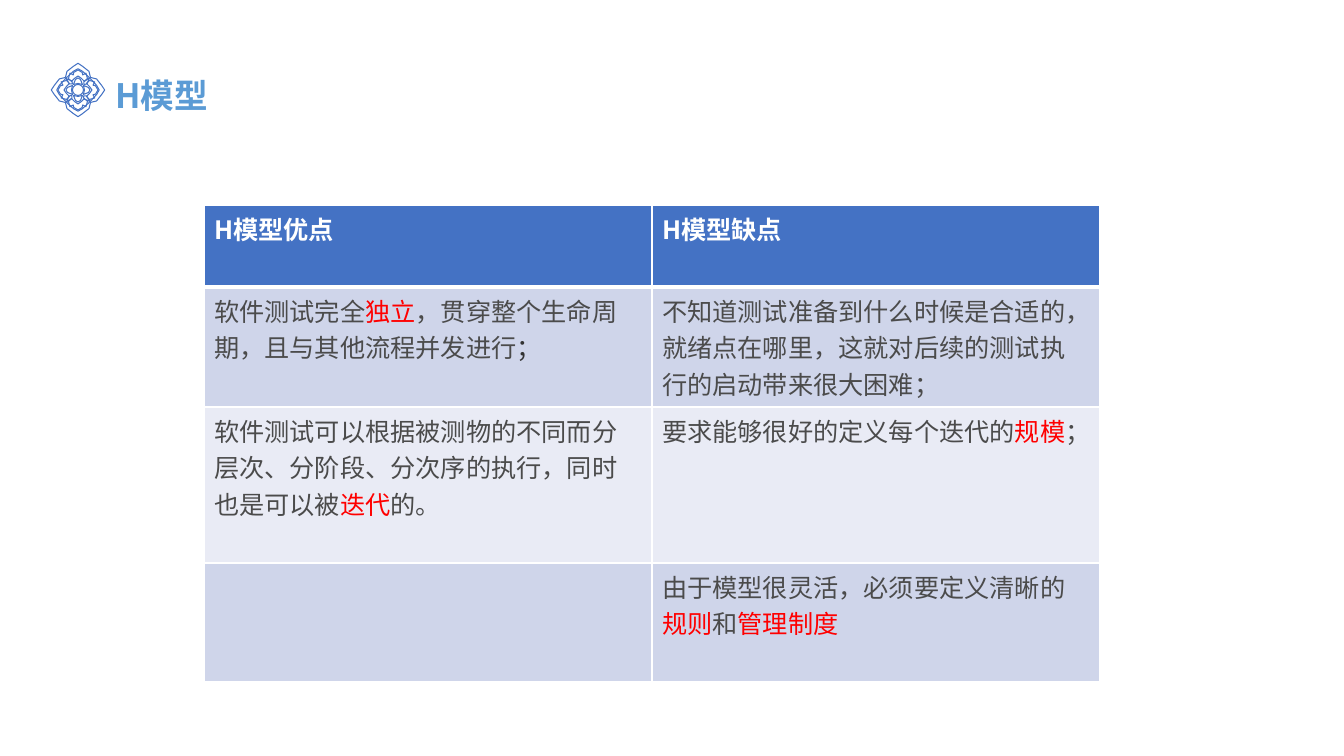
from dataclasses import dataclass
from math import cos, pi, sin

from lxml.etree import SubElement
from pptx import Presentation
from pptx.dml.color import RGBColor
from pptx.enum.text import MSO_ANCHOR, MSO_AUTO_SIZE, PP_ALIGN
from pptx.oxml.ns import qn
from pptx.util import Emu, Pt


@dataclass(frozen=True)
class Theme:
    sky: str = "5B9BD5"
    blue: str = "4472C4"
    white: str = "FFFFFF"
    gray: str = "4B4B4B"
    dark: str = "333333"
    red: str = "FF0000"
    bands: tuple = ("CFD5EA", "E9EBF5")
    head: int = 24
    body: int = 18
    title: str = "Noto Sans CJK JP"
    text: str = "Noto Sans CJK SC"
    mark: str = "DejaVu Sans"


THEME = Theme()
TITLE = "H模型"
HEADS = ["H模型优点", "H模型缺点"]
ROWS = [
    (
        [("软件测试完全", "gray"), ("独立", "red"),
         ("，贯穿整个生命周期，且与其他流程并发进行", "gray"), ("；", "dark")],
        [("不知道测试准备到什么时候是合适的，就绪点在哪里，"
          "这就对后续的测试执行的启动带来很大困难；", "gray")],
    ),
    (
        [("软件测试可以根据被测物的不同而分层次、分阶段、分次序的执行，"
          "同时也是可以被", "gray"), ("迭代", "red"), ("的。", "gray")],
        [("要求能够很好的定义每个迭代的", "gray"), ("规模", "red"), ("；", "gray")],
    ),
    (
        [],
        [("由于模型很灵活，必须要定义清晰的", "gray"), ("规则", "red"),
         ("和", "gray"), ("管理制度", "red")],
    ),
]
TITLE_BOX = (105, 52, 338, 66)
GRID_AT = (204, 205)
COL = 448
HEIGHTS = [82, 120, 156, 119]
CENTER = (78, 90)
RINGS = [
    [(267, 0), (237, 45), (186, 110), (125, 125), (110, 186), (45, 237)],
    [(212, 0), (187, 45), (125, 112), (112, 125), (45, 187)],
]
LOBE = [(200, 0), (175, 42), (150, 48), (168, 80), (115, 95), (85, 65), (115, 35), (140, 0)]
PETAL = [(120, 0), (105, 25), (55, 45), (65, 0)]
LEAF = [(120, 115), (60, 90), (55, 60), (85, 60)]
CORE = 54
PX = 914400 / 100.8


def px(n):
    return Emu(round(n * PX))


def color(tone):
    return RGBColor.from_string(tone)


def style(run, size, tone, face, bold=False):
    font = run.font
    font.size, font.bold, font.name = Pt(size), bold, face
    font.color.rgb = color(tone)
    SubElement(run._r.get_or_add_rPr(), qn("a:ea")).set("typeface", face)


def turn(points, n):
    for _ in range(n):
        points = [(-y, x) for x, y in points]
    return points


def mirror(half):
    return half + [(x, -y) for x, y in reversed(half) if y]


def motif(slide):
    paths = [[p for n in range(4) for p in turn(ring, n)] for ring in RINGS]
    for part in (mirror(LOBE), mirror(PETAL), LEAF):
        paths += [turn(part, n) for n in range(4)]
    paths.append([(round(CORE * cos(k * pi / 12)), round(CORE * sin(k * pi / 12)))
                  for k in range(24)])
    first, *rest = paths
    pen = slide.shapes.build_freeform(*first[0], scale=PX / 10)
    pen.add_line_segments(first[1:], close=True)
    for points in rest:
        pen.move_to(*points[0])
        pen.add_line_segments(points[1:], close=True)
    shape = pen.convert_to_shape(*map(px, CENTER))
    shape.shadow.inherit = False
    shape.fill.background()
    shape.line.color.rgb = color(THEME.blue)
    shape.line.width = Pt(0.75)


def paint(cell, tone, row):
    props = cell._tc.get_or_add_tcPr()
    wide = {"T": row == 1, "B": row == 0}
    for side in "LRTB":
        line = SubElement(props, qn(f"a:ln{side}"), w=str(Pt(3 if wide.get(side) else 1)))
        fill = SubElement(line, qn("a:solidFill"))
        SubElement(fill, qn("a:srgbClr"), val=THEME.white)
    cell.fill.solid()
    cell.fill.fore_color.rgb = color(tone)


def heading(slide):
    title = slide.shapes.title
    title.left, title.top, title.width, title.height = map(px, TITLE_BOX)
    frame = title.text_frame
    frame.text = TITLE
    frame.auto_size = MSO_AUTO_SIZE.NONE
    frame.vertical_anchor = MSO_ANCHOR.MIDDLE
    para = frame.paragraphs[0]
    para.alignment = PP_ALIGN.LEFT
    para.line_spacing, para.space_before = 1.5, Pt(10)
    style(para.runs[0], THEME.head, THEME.sky, THEME.title, True)


def grid(slide):
    rows = [[[(head, "white")] for head in HEADS], *ROWS]
    size = (COL * len(HEADS), sum(HEIGHTS))
    table = slide.shapes.add_table(len(rows), len(HEADS), *map(px, GRID_AT + size)).table
    for col in table.columns:
        col.width = px(COL)
    for r, (cells, high) in enumerate(zip(rows, HEIGHTS)):
        table.rows[r].height = px(high)
        tone = THEME.bands[(r - 1) % 2] if r else THEME.blue
        for c, parts in enumerate(cells):
            cell = table.cell(r, c)
            paint(cell, tone, r)
            para = cell.text_frame.paragraphs[0]
            for text, ink in parts:
                run = para.add_run()
                run.text = text
                face = THEME.mark if ink == "dark" else THEME.text
                style(run, THEME.body, getattr(THEME, ink), face, r == 0)


def main():
    deck = Presentation()
    deck.slide_width, deck.slide_height = px(1344), px(756)
    slide = deck.slides.add_slide(deck.slide_layouts[5])
    heading(slide)
    motif(slide)
    grid(slide)
    deck.save("out.pptx")


if __name__ == "__main__":
    main()
